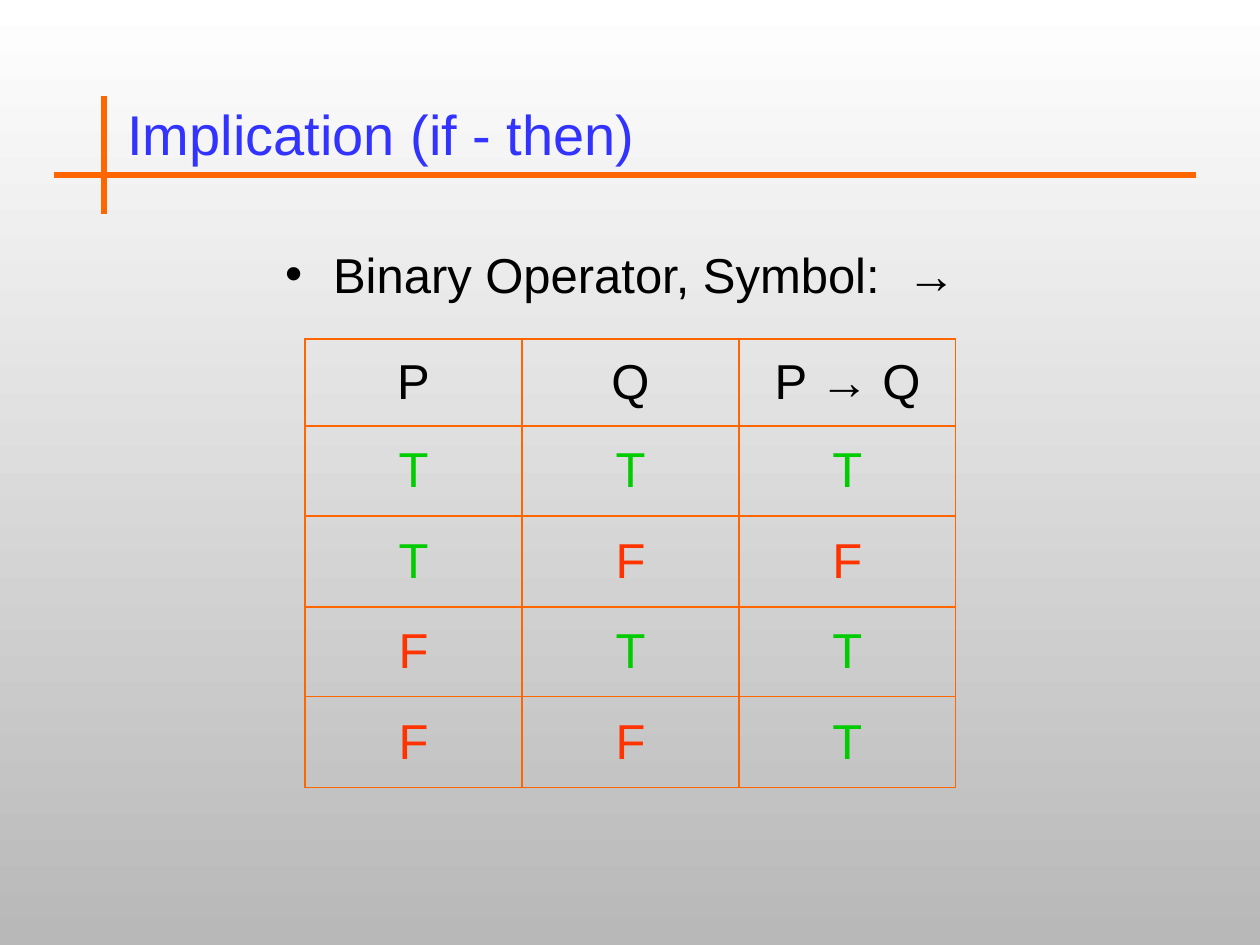
from lxml.etree import SubElement
from pptx import Presentation
from pptx.dml.color import RGBColor
from pptx.enum.shapes import MSO_CONNECTOR
from pptx.enum.text import MSO_ANCHOR, PP_ALIGN
from pptx.oxml.ns import qn
from pptx.util import Pt

PX = 914400 / 126
HUES = {"title": "3333FF", "text": "000000", "rule": "FF6600",
        "T": "00CC00", "F": "FF3300", "top": "FFFFFF", "base": "B8B8B8"}


def px(*nums):
    return [round(n * PX) for n in nums]


def write(para, parts, size, hue):
    for part in parts:
        run = para.add_run()
        run.text = part
        run.font.size = Pt(size)
        run.font.name = "Arial"
        run.font.bold = "→" in part
        run.font.color.rgb = RGBColor.from_string(HUES[hue])


deck = Presentation()
deck.slide_width, deck.slide_height = px(1260, 945)
slide = deck.slides.add_slide(deck.slide_layouts[6])
back = slide.background.fill
back.gradient()
back.gradient_angle = 270
for stop, hue, pos in zip(back.gradient_stops, ("top", "base"), (0, 1)):
    stop.color.rgb = RGBColor.from_string(HUES[hue])
    stop.position = pos

title = slide.shapes.add_textbox(*px(115, 86, 1071, 95)).text_frame
title.word_wrap = True
title.vertical_anchor = MSO_ANCHOR.MIDDLE
write(title.paragraphs[0], ["Implication (if - then)"], 32, "title")

body = slide.shapes.add_textbox(*px(64, 238, 1113, 116)).text_frame
body.word_wrap = True
para = body.paragraphs[0]
para.alignment = PP_ALIGN.CENTER
props = para._p.get_or_add_pPr()
dent, = px(48)
props.set("marL", str(dent))
props.set("indent", str(-dent))
tint = SubElement(props, qn("a:buClr"))
SubElement(tint, qn("a:srgbClr"), val=HUES["text"])
SubElement(props, qn("a:buFont"), typeface="Arial")
SubElement(props, qn("a:buChar"), char="•")
write(para, ["Binary Operator, Symbol:  ", "→"], 28, "text")

rows = [[["P"], ["Q"], ["P ", "→ ", "Q"]]]
rows += [list(line) for line in ("TTT", "TFF", "FTT", "FFT")]
frame = slide.shapes.add_table(5, 3, *px(305, 339, 651, 449))
table = frame.table
table.first_row = False
table.horz_banding = False
for col in table.columns:
    col.width, = px(217)
for row, tall in zip(table.rows, px(87, 90, 91, 90, 91)):
    row.height = tall
for row, line in zip(table.rows, rows):
    for cell, parts in zip(row.cells, line):
        cell.vertical_anchor = MSO_ANCHOR.MIDDLE
        props = cell._tc.get_or_add_tcPr()
        for side in ("lnL", "lnR", "lnT", "lnB"):
            edge = SubElement(props, qn(f"a:{side}"), w=str(Pt(0.75)))
            paint = SubElement(edge, qn("a:solidFill"))
            SubElement(paint, qn("a:srgbClr"), val=HUES["rule"])
        cell.fill.background()
        para = cell.text_frame.paragraphs[0]
        para.alignment = PP_ALIGN.CENTER
        write(para, parts, 28, parts if parts in ("T", "F") else "text")

for ends in ((54, 175, 1196, 175), (104, 96, 104, 214)):
    rule = slide.shapes.add_connector(MSO_CONNECTOR.STRAIGHT, *px(*ends))
    rule.line.width = Pt(3)
    rule.line.color.rgb = RGBColor.from_string(HUES["rule"])
    SubElement(rule._element.spPr, qn("a:effectLst"))

deck.save("out.pptx")
